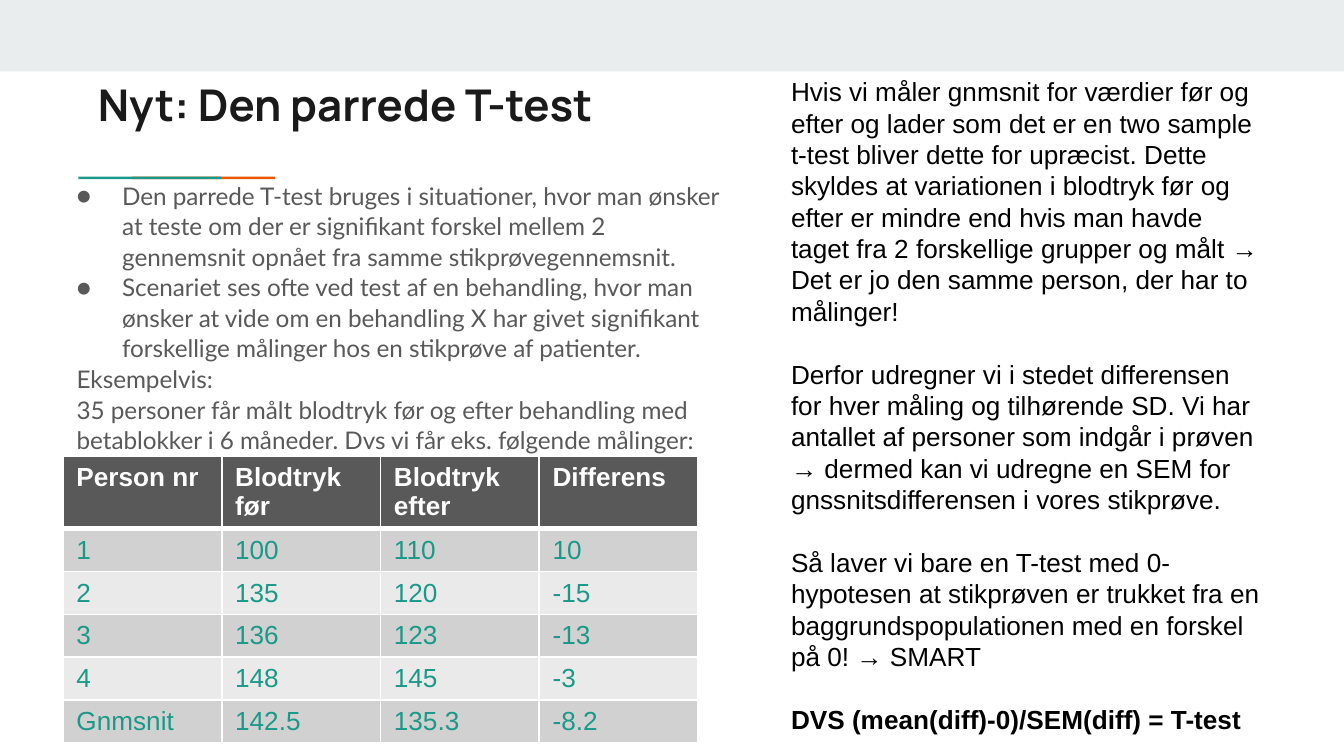
from pptx import Presentation
from pptx.dml.color import RGBColor
from pptx.enum.shapes import MSO_SHAPE
from pptx.oxml import parse_xml
from pptx.oxml.ns import nsdecls
from pptx.util import Cm, Pt

RECT = MSO_SHAPE.RECTANGLE
GREY, TEAL, WHITE = "595959", "1A9988", "FFFFFF"


def rgb(value):
    return RGBColor.from_string(value)


def add_text(tf, text, size=14, font="Arial", color="000000", bold=False,
             before=0, line=None, indent=0, bullet=None):
    """Write one paragraph, using the first one while it is still empty."""
    p = tf.paragraphs[0] if not tf.text else tf.add_paragraph()
    p.space_before, p.space_after = Pt(before), Pt(0)
    p.line_spacing = line
    pPr = p._p.get_or_add_pPr()
    pPr.set("marL", str(Cm(indent)))
    if bullet:
        pPr.set("indent", str(Cm(-0.86)))
        for tag in [f'buClr {nsdecls("a")}><a:srgbClr val="{color}"/></a:buClr',
                    f'buFont {nsdecls("a")} typeface="{font}"/',
                    f'buChar {nsdecls("a")} char="{bullet}"/']:
            pPr.append(parse_xml(f"<a:{tag}>"))
    r = p.add_run()
    r.text = text
    r.font.size, r.font.name, r.font.bold = Pt(size), font, bold
    r.font.color.rgb = rgb(color)


prs = Presentation()
prs.slide_width, prs.slide_height = Cm(25.4), Cm(14.29)
s = prs.slides.add_slide(prs.slide_layouts[6])

# Top band and two overlapping bars of the rule under the title
for x, y, w, h, color in [(0, 0, 25.4, 1.35, "E9EDEE"),
                          (2.5, 3.34, 2.7, 0.05, "EB5600"),
                          (1.48, 3.34, 2.7, 0.05, TEAL)]:
    sp = s.shapes.add_shape(RECT, Cm(x), Cm(y), Cm(w), Cm(h))
    sp.shadow.inherit = False
    sp.fill.solid()
    sp.fill.fore_color.rgb = rgb(color)
    sp.line.fill.background()

# Text boxes: title, body, explanation
frames = []
for x, y, w, h in [(1.6, 1.22, 21.36, 1.5),
                   (0.79, 3.14, 13.34, 6.05),
                   (14.7, 1.3, 9.53, 12.83)]:
    tf = s.shapes.add_textbox(Cm(x), Cm(y), Cm(w), Cm(h)).text_frame
    tf.word_wrap = True
    tf.margin_left = tf.margin_right = tf.margin_top = tf.margin_bottom = Cm(0.25)
    frames.append(tf)
title, body, explanation = frames
explanation.margin_top = explanation.margin_bottom = Cm(0.13)
explanation.margin_right = Cm(0.33)

add_text(title, "Nyt: Den parrede T-test", size=23.4, font="Manrope",
         color="1A1A1A", bold=True)

for text, indent, bullet in [
    ("Den parrede T-test bruges i situationer, hvor man ønsker at teste om der er "
     "signifikant forskel mellem 2 gennemsnit opnået fra samme "
     "stikprøvegennemsnit.", 1.27, "●"),
    ("Scenariet ses ofte ved test af en behandling, hvor man ønsker at vide om en "
     "behandling X har givet signifikant forskellige målinger hos en stikprøve af "
     "patienter.", 1.27, "●"),
    ("Eksempelvis:", 0.41, None),
    ("35 personer får målt blodtryk før og efter behandling med betablokker i 6 "
     "måneder. Dvs vi får eks. følgende målinger:", 0.41, None),
]:
    add_text(body, text, size=13, font="Lato", color=GREY, line=1.05,
             indent=indent, bullet=bullet)

# Explanation, paragraphs one line apart
add_text(explanation,
         "Hvis vi måler gnmsnit for værdier før og efter og lader som det er en two "
         "sample t-test bliver dette for upræcist. Dette skyldes at variationen i "
         "blodtryk før og efter er mindre end hvis man havde taget fra 2 forskellige "
         "grupper og målt → Det er jo den samme person, der har to målinger!")
for text, bold in [
    ("Derfor udregner vi i stedet differensen for hver måling og tilhørende SD. Vi "
     "har antallet af personer som indgår i prøven → dermed kan vi udregne en SEM "
     "for gnssnitsdifferensen i vores stikprøve.", False),
    ("Så laver vi bare en T-test med 0-hypotesen at stikprøven er trukket fra en "
     "baggrundspopulationen med en forskel på 0! → SMART", False),
    ("DVS (mean(diff)-0)/SEM(diff) = T-test", True),
]:
    add_text(explanation, text, bold=bold, before=16.8)

# Table of blood pressures
rows = [
    ["Person nr", "Blodtryk før", "Blodtryk efter", "Differens"],
    ["1", "100", "110", "10"],
    ["2", "135", "120", "-15"],
    ["3", "136", "123", "-13"],
    ["4", "148", "145", "-3"],
    ["Gnmsnit", "142.5", "135.3", "-8.2"],
]
table = s.shapes.add_table(len(rows), 4, Cm(1.19), Cm(8.62), Cm(12), Cm(5.39)).table
for col in table.columns:
    col.width = Cm(3)
for i, row in enumerate(rows):
    header = i == 0
    table.rows[i].height = Cm(1.34 if header else 0.81)
    fill = GREY if header else ("D1D1D1" if i % 2 else "EAEAEA")
    for j, text in enumerate(row):
        cell = table.cell(i, j)
        cell.margin_bottom = Cm(0.06)
        add_text(cell.text_frame, text, color=WHITE if header else TEAL, bold=header)
        cell.fill.solid()
        cell.fill.fore_color.rgb = rgb(fill)
        # White borders, thicker under the header
        for k, side in enumerate(["lnL", "lnR", "lnT", "lnB"]):
            thick = (side == "lnB" and header) or (side == "lnT" and i == 1)
            cell._tc.get_or_add_tcPr().insert(k, parse_xml(
                f'<a:{side} {nsdecls("a")} w="{Pt(3 if thick else 1)}"><a:solidFill>'
                f'<a:srgbClr val="{WHITE}"/></a:solidFill></a:{side}>'))

prs.save("out.pptx")
